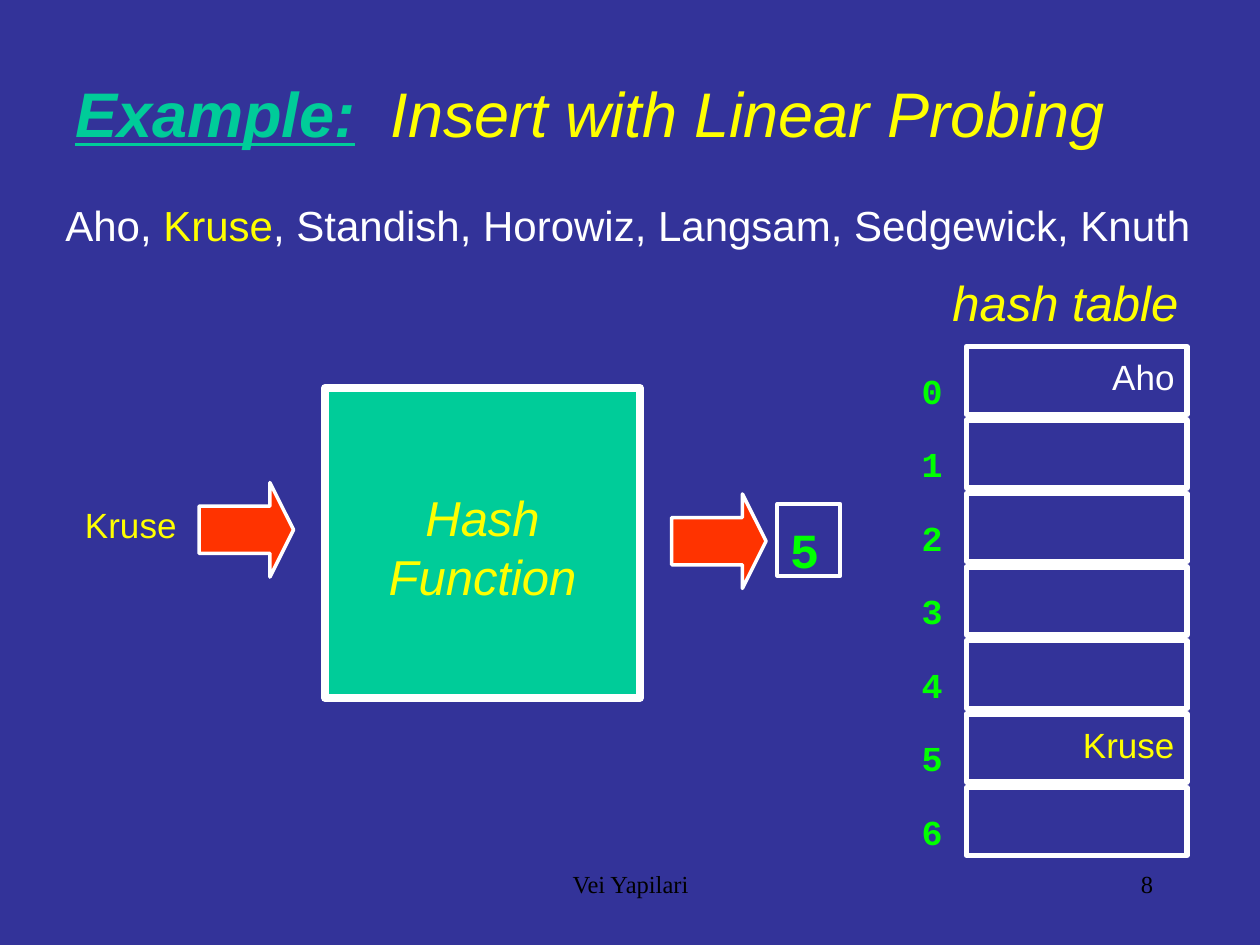
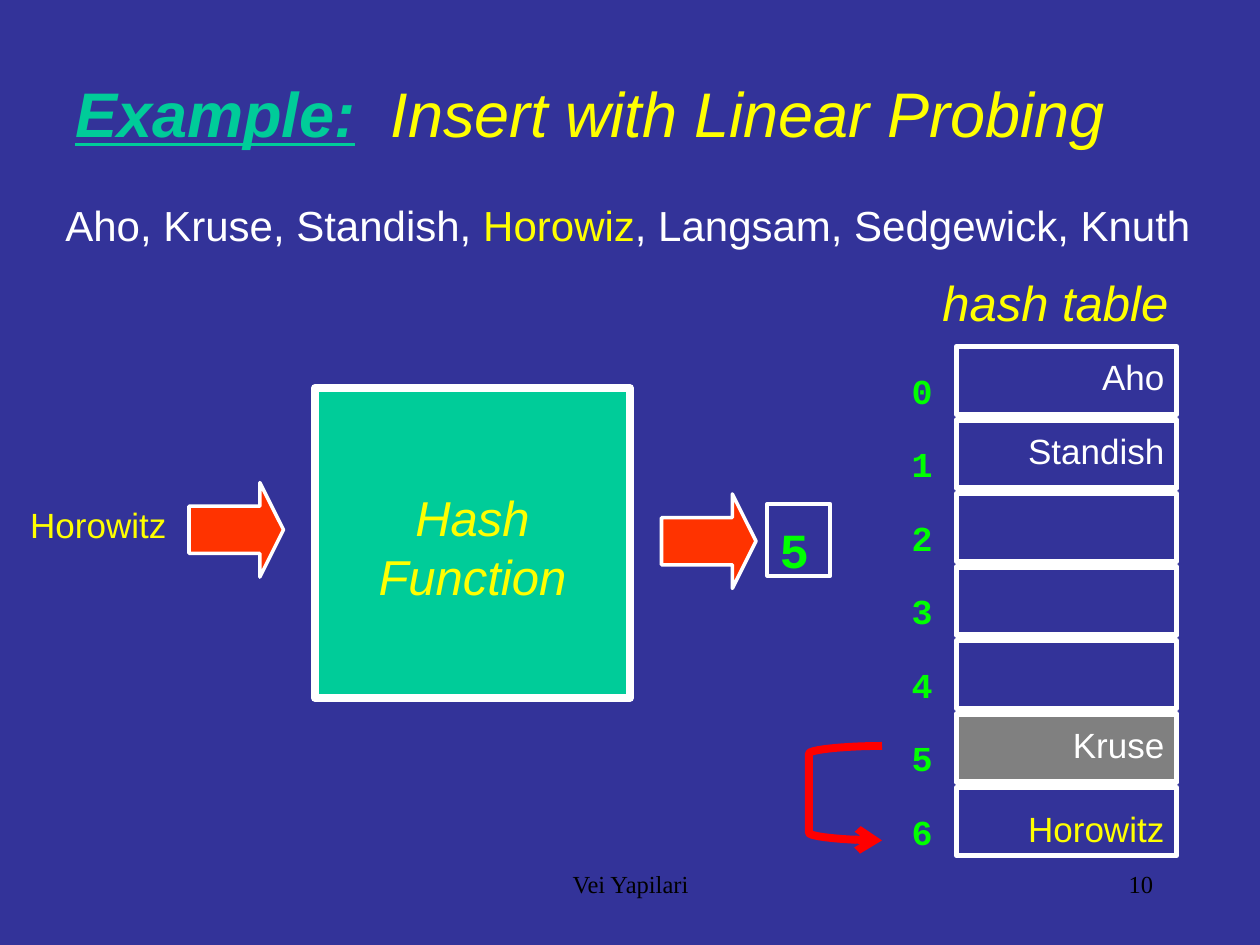
from dataclasses import dataclass, field
from typing import Optional

from lxml import etree
from pptx import Presentation
from pptx.dml.color import RGBColor
from pptx.enum.shapes import MSO_SHAPE
from pptx.enum.text import MSO_ANCHOR, PP_ALIGN
from pptx.oxml.ns import qn
from pptx.shapes.autoshape import Shape
from pptx.slide import Slide
from pptx.util import Inches, Pt

NAVY = RGBColor(0x33, 0x33, 0x99)
WHITE = RGBColor(0xFF, 0xFF, 0xFF)
YELLOW = RGBColor(0xFF, 0xFF, 0x00)
TEAL = RGBColor(0x00, 0xCC, 0x99)
ORANGE = RGBColor(0xFF, 0x33, 0x00)
GREEN = RGBColor(0x00, 0xFF, 0x00)
RED = RGBColor(0xFF, 0x00, 0x00)
GREY = RGBColor(0x80, 0x80, 0x80)
BLACK = RGBColor(0x00, 0x00, 0x00)

SANS, MONO, SERIF = "Arial", "Courier New", "Times New Roman"
NAMES = ["Aho", "Kruse", "Standish", "Horowiz", "Langsam", "Sedgewick", "Knuth"]
SLOT_COUNT = 7
SLOT_TOP, SLOT_PITCH = 2.75, 7 / 12
SLOT_WIDTH, SLOT_HEIGHT = 1.75, 0.54


@dataclass(frozen=True)
class Style:
    """Look of a piece of text."""
    size: float
    color: RGBColor
    font: str = SANS
    bold: bool = False
    italic: bool = False
    underline: bool = False
    align: PP_ALIGN = PP_ALIGN.LEFT


@dataclass(frozen=True)
class Entry:
    """A key stored in one slot of the hash table."""
    slot: int
    key: str
    color: RGBColor = WHITE
    drop: float = 0


@dataclass(frozen=True)
class Step:
    """One insertion, shown on one slide."""
    number: int
    key: str
    listed: str
    hashed: int
    entries: list[Entry]
    shift: float = 0
    occupied: Optional[int] = None
    probe_rows: list[float] = field(default_factory=list)


TITLE_LABEL = Style(36, TEAL, bold=True, italic=True, underline=True)
TITLE = Style(36, YELLOW, italic=True)
CAPTION = Style(28, YELLOW, italic=True, align=PP_ALIGN.CENTER)
KEY = Style(20, YELLOW, align=PP_ALIGN.RIGHT)
INDEX = Style(20, GREEN, MONO, bold=True, align=PP_ALIGN.RIGHT)
RESULT = Style(28, GREEN, MONO, bold=True)
FOOTER = Style(14, BLACK, SERIF, align=PP_ALIGN.CENTER)
PAGE_NUMBER = Style(14, BLACK, SERIF, align=PP_ALIGN.RIGHT)

STEPS = [
    Step(8, "Kruse", "Kruse", 5, [Entry(0, "Aho"), Entry(5, "Kruse", YELLOW)]),
    Step(10, "Horowitz", "Horowiz", 5,
         [Entry(0, "Aho"), Entry(1, "Standish"), Entry(5, "Kruse"),
          Entry(6, "Horowitz", YELLOW, drop=0.08)],
         shift=-0.08, occupied=5, probe_rows=[5.92, 6.67]),
]


def write(shape: Shape, pieces: list[tuple[str, Style]]) -> None:
    """Fill a shape with one paragraph of styled runs."""
    frame = shape.text_frame
    frame.word_wrap = True
    frame.vertical_anchor = MSO_ANCHOR.TOP
    first = pieces[0][1]
    frame.margin_top = Inches(0.05 + first.size / (400 if first.font == MONO else 800))
    paragraph = frame.paragraphs[0]
    paragraph.alignment = first.align
    for words, style in pieces:
        run = paragraph.add_run()
        run.text = words
        run.font.name = style.font
        run.font.size = Pt(style.size)
        run.font.bold = style.bold
        run.font.italic = style.italic
        run.font.underline = style.underline
        run.font.color.rgb = style.color


def add_text(slide: Slide, left: float, top: float, width: float, height: float,
             *pieces: tuple[str, Style]) -> Shape:
    """Add a text box holding one paragraph."""
    box = slide.shapes.add_textbox(Inches(left), Inches(top), Inches(width), Inches(height))
    write(box, list(pieces))
    return box


def outline(shape: Shape, line: RGBColor, weight: float, fill: Optional[RGBColor]) -> None:
    """Set line and fill, without a shadow."""
    shape.shadow.inherit = False
    shape.line.color.rgb = line
    shape.line.width = Pt(weight)
    if fill is None:
        shape.fill.background()
    else:
        shape.fill.solid()
        shape.fill.fore_color.rgb = fill


def add_box(slide: Slide, kind: MSO_SHAPE, left: float, top: float, width: float,
            height: float, weight: float, fill: Optional[RGBColor] = None) -> Shape:
    """Add a white-edged preset shape."""
    box = slide.shapes.add_shape(kind, Inches(left), Inches(top), Inches(width), Inches(height))
    outline(box, WHITE, weight, fill)
    return box


def add_heading(slide: Slide, step: Step) -> None:
    """Add the title and the list of names with the current one marked."""
    title = add_text(slide, 0.5, 0.5, 8.75, 0.7, ("Example:", TITLE_LABEL),
                     (" ", TITLE), ("Insert with Linear Probing", TITLE))
    gap = title.text_frame.paragraphs[0].runs[1]
    gap.font._element.set("spc", "1000")
    place = NAMES.index(step.listed)
    before = "".join(f"{name}, " for name in NAMES[:place])
    after = "".join(f", {name}" for name in NAMES[place + 1:])
    add_text(slide, 0.42, 1.5, 9.25, 0.5, (before, Style(24, WHITE)),
             (step.listed, Style(24, YELLOW)), (after, Style(24, WHITE)))


def add_hashing(slide: Slide, step: Step) -> None:
    """Add the key, the hash function and its result, joined by arrows."""
    shift = step.shift
    add_text(slide, shift, 3.92, 1.5, 0.44, (step.key, KEY))
    for left, top in ((1.58, 3.83), (5.33, 3.92)):
        arrow = add_box(slide, MSO_SHAPE.RIGHT_ARROW, left + shift, top, 0.75, 0.75, 2, ORANGE)
        arrow.adjustments[0], arrow.adjustments[1] = 0.5, 0.25
    function = add_box(slide, MSO_SHAPE.RECTANGLE, 2.58 + shift, 3.08, 2.5, 2.46, 4.5, TEAL)
    write(function, [("Hash Function", CAPTION)])
    function.text_frame.vertical_anchor = MSO_ANCHOR.MIDDLE
    function.text_frame.margin_top = Inches(0.1)
    result = add_box(slide, MSO_SHAPE.RECTANGLE, 6.17 + shift, 4, 0.5, 0.57, 2.25)
    write(result, [(str(step.hashed), RESULT)])


def add_hash_table(slide: Slide, step: Step) -> None:
    """Add the numbered slots and the keys stored in them."""
    left = 7.67 + step.shift
    add_text(slide, left - 0.34, 2.08, 2.25, 0.57, ("hash table", CAPTION))
    for slot in range(SLOT_COUNT):
        top = SLOT_TOP + slot * SLOT_PITCH
        add_box(slide, MSO_SHAPE.RECTANGLE, left, top, SLOT_WIDTH, SLOT_HEIGHT, 3,
                GREY if slot == step.occupied else None)
        add_text(slide, left - 0.92, top + 0.08, 0.83, 0.44, (str(slot), INDEX))
    for entry in step.entries:
        top = SLOT_TOP + entry.slot * SLOT_PITCH + entry.drop
        style = Style(20, entry.color, align=PP_ALIGN.RIGHT)
        add_text(slide, left, top, SLOT_WIDTH, 0.44, (entry.key, style))


def add_probe(slide: Slide, top: float, bottom: float) -> None:
    """Add the bent arrow from the occupied slot to the next one."""
    right, width, bend, pieces = 7.0, 0.58, 0.06, 10

    def curve(t: float) -> tuple[float, float]:
        """Give the inward offsets of the rounded end at t from 0 to 1."""
        across = 1.5 * t * (1 - t) ** 2 + 3 * t ** 2 * (1 - t) + t ** 3
        along = 1.5 * t ** 2 * (1 - t) + t ** 3
        return width * across, bend * along

    offsets = [curve(step / pieces) for step in range(pieces + 1)]
    points = [(right - x, top + y) for x, y in offsets]
    points += [(right - x, bottom - y) for x, y in reversed(offsets)]
    corners = [(Inches(x), Inches(y)) for x, y in points]
    builder = slide.shapes.build_freeform(*corners[0])
    builder.add_line_segments(corners[1:], close=False)
    probe = builder.convert_to_shape()
    outline(probe, RED, 4.5, None)
    line = probe.line._get_or_add_ln()
    etree.SubElement(line, qn("a:round"))
    etree.SubElement(line, qn("a:tailEnd"), type="arrow")


def add_footer(slide: Slide, number: int) -> None:
    """Add the course name and the page number."""
    add_text(slide, 3.42, 6.83, 3.17, 0.5, ("Vei Yapilari", FOOTER))
    add_text(slide, 7.17, 6.83, 2.08, 0.5, (str(number), PAGE_NUMBER))


def main() -> None:
    """Build one slide for each insertion step."""
    deck = Presentation()
    deck.slide_width, deck.slide_height = Inches(10), Inches(7.5)
    for step in STEPS:
        slide = deck.slides.add_slide(deck.slide_layouts[6])
        slide.background.fill.solid()
        slide.background.fill.fore_color.rgb = NAVY
        add_heading(slide, step)
        add_hashing(slide, step)
        add_hash_table(slide, step)
        if step.probe_rows:
            add_probe(slide, *step.probe_rows)
        add_footer(slide, step.number)
    deck.save("out.pptx")


main()
